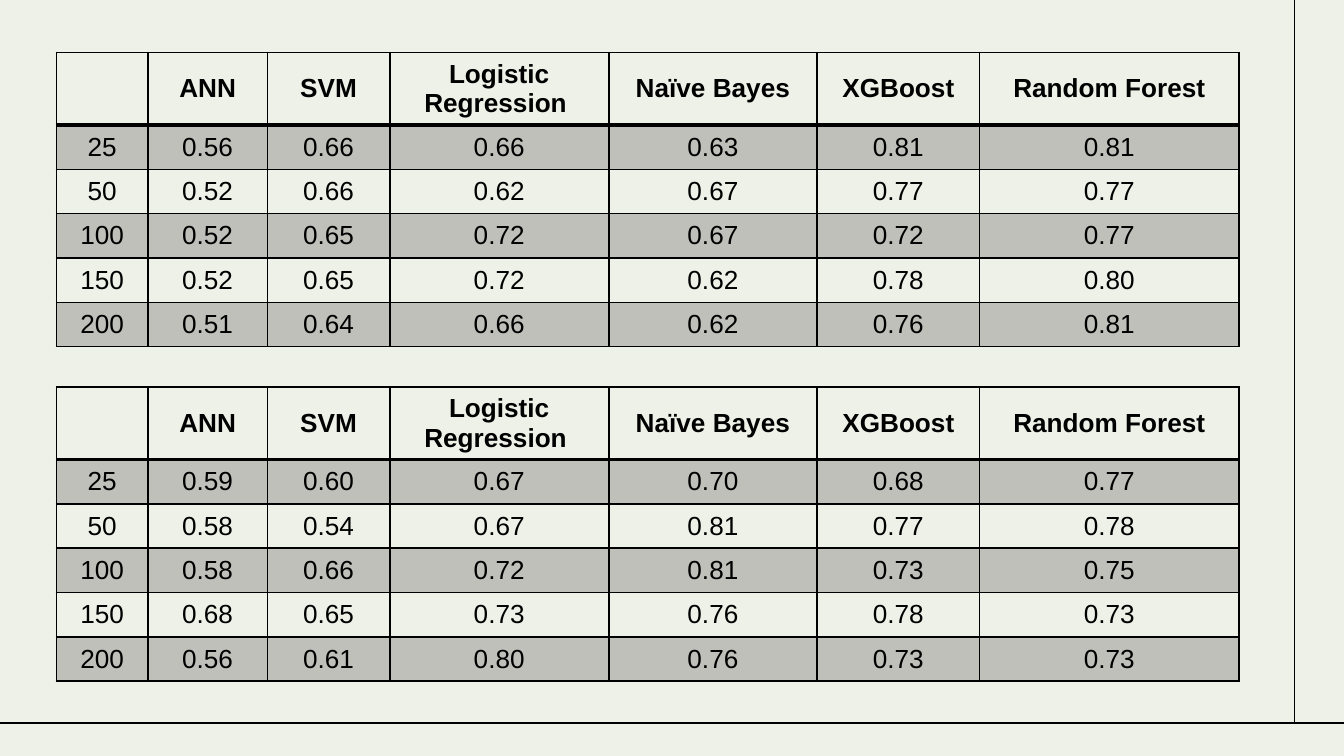
import pptx
import pptx.dml.color
import pptx.enum.shapes
import pptx.enum.text
import pptx.oxml.ns
import pptx.util
from lxml import etree

BLACK = pptx.dml.color.RGBColor(0x00, 0x00, 0x00)
PAPER = pptx.dml.color.RGBColor(0xEE, 0xF1, 0xE8)
FONT = "Arial"
WIDTH = 10
HEIGHT = WIDTH * 9 / 16
TABLE_LEFT = 0.42
TABLE_TOPS = [0.39, 2.88]
COLUMNS = [0.68, 0.89, 0.91, 1.63, 1.55, 1.21, 1.93]
ROWS = [0.54] + [0.33] * 5
RULE_X, RULE_Y = 9.63, 5.38
SHADE_ALPHA = 20

HEADER = ["", "ANN", "SVM", "Logistic\nRegression ", "Naïve Bayes", "XGBoost", "Random Forest"]
SCORES = [
    [
        ["25", "0.56", "0.66", "0.66", "0.63", "0.81", "0.81"],
        ["50", "0.52", "0.66", "0.62", "0.67", "0.77", "0.77"],
        ["100", "0.52", "0.65", "0.72", "0.67", "0.72", "0.77"],
        ["150", "0.52", "0.65", "0.72", "0.62", "0.78", "0.80"],
        ["200", "0.51", "0.64", "0.66", "0.62", "0.76", "0.81"],
    ],
    [
        ["25", "0.59", "0.60", "0.67", "0.70", "0.68", "0.77"],
        ["50", "0.58", "0.54", "0.67", "0.81", "0.77", "0.78"],
        ["100", "0.58", "0.66", "0.72", "0.81", "0.73", "0.75"],
        ["150", "0.68", "0.65", "0.73", "0.76", "0.78", "0.73"],
        ["200", "0.56", "0.61", "0.80", "0.76", "0.73", "0.73"],
    ],
]


def add_rule(s, x1, y1, x2, y2):
    ends = [pptx.util.Inches(v) for v in (x1, y1, x2, y2)]
    line = s.shapes.add_connector(pptx.enum.shapes.MSO_CONNECTOR.STRAIGHT, *ends)
    line.line.color.rgb = BLACK
    line.line.width = pptx.util.Pt(0.75)
    etree.SubElement(line._element.spPr, pptx.oxml.ns.qn("a:effectLst"))


def set_borders(cell, top, bottom):
    tc_pr = cell._tc.get_or_add_tcPr()
    for side, points in (("L", 1), ("R", 1), ("T", top), ("B", bottom)):
        ln = etree.SubElement(tc_pr, pptx.oxml.ns.qn(f"a:ln{side}"), w=str(pptx.util.Pt(points)))
        fill = etree.SubElement(ln, pptx.oxml.ns.qn("a:solidFill"))
        etree.SubElement(fill, pptx.oxml.ns.qn("a:srgbClr"), val=str(BLACK))


def set_fill(cell, shaded):
    if not shaded:
        cell.fill.background()
        return
    cell.fill.solid()
    cell.fill.fore_color.rgb = BLACK
    color = cell._tc.tcPr.find(pptx.oxml.ns.qn("a:solidFill"))[0]
    etree.SubElement(color, pptx.oxml.ns.qn("a:alpha"), val=str(SHADE_ALPHA * 1000))


def set_text(cell, text, bold):
    cell.vertical_anchor = pptx.enum.text.MSO_ANCHOR.MIDDLE
    cell.margin_top = cell.margin_bottom = pptx.util.Inches(0.03)
    cell.text_frame.text = text
    for p in cell.text_frame.paragraphs:
        p.alignment = pptx.enum.text.PP_ALIGN.CENTER
        for r in p.runs:
            r.font.name = FONT
            r.font.size = pptx.util.Pt(14)
            r.font.bold = bold
            r.font.color.rgb = BLACK


def add_score_table(s, top, scores):
    box = [pptx.util.Inches(v) for v in (TABLE_LEFT, top, sum(COLUMNS), sum(ROWS))]
    table = s.shapes.add_table(len(ROWS), len(COLUMNS), *box).table
    for column, width in zip(table.columns, COLUMNS):
        column.width = pptx.util.Inches(width)
    for row, height in zip(table.rows, ROWS):
        row.height = pptx.util.Inches(height)
    for i, values in enumerate([HEADER] + scores):
        for j, text in enumerate(values):
            cell = table.cell(i, j)
            set_text(cell, text, bold=i == 0)
            set_borders(cell, top=2 if i == 1 else 1, bottom=2 if i == 0 else 1)
            set_fill(cell, shaded=i % 2 == 1)


def main():
    prs = pptx.Presentation()
    prs.slide_width = pptx.util.Inches(WIDTH)
    prs.slide_height = pptx.util.Inches(HEIGHT)
    s = prs.slides.add_slide(prs.slide_layouts[6])
    s.background.fill.solid()
    s.background.fill.fore_color.rgb = PAPER
    add_rule(s, RULE_X, 0, RULE_X, RULE_Y)
    add_rule(s, 0, RULE_Y, WIDTH, RULE_Y)
    for top, scores in zip(TABLE_TOPS, SCORES):
        add_score_table(s, top, scores)
    prs.save("out.pptx")


if __name__ == "__main__":
    main()
